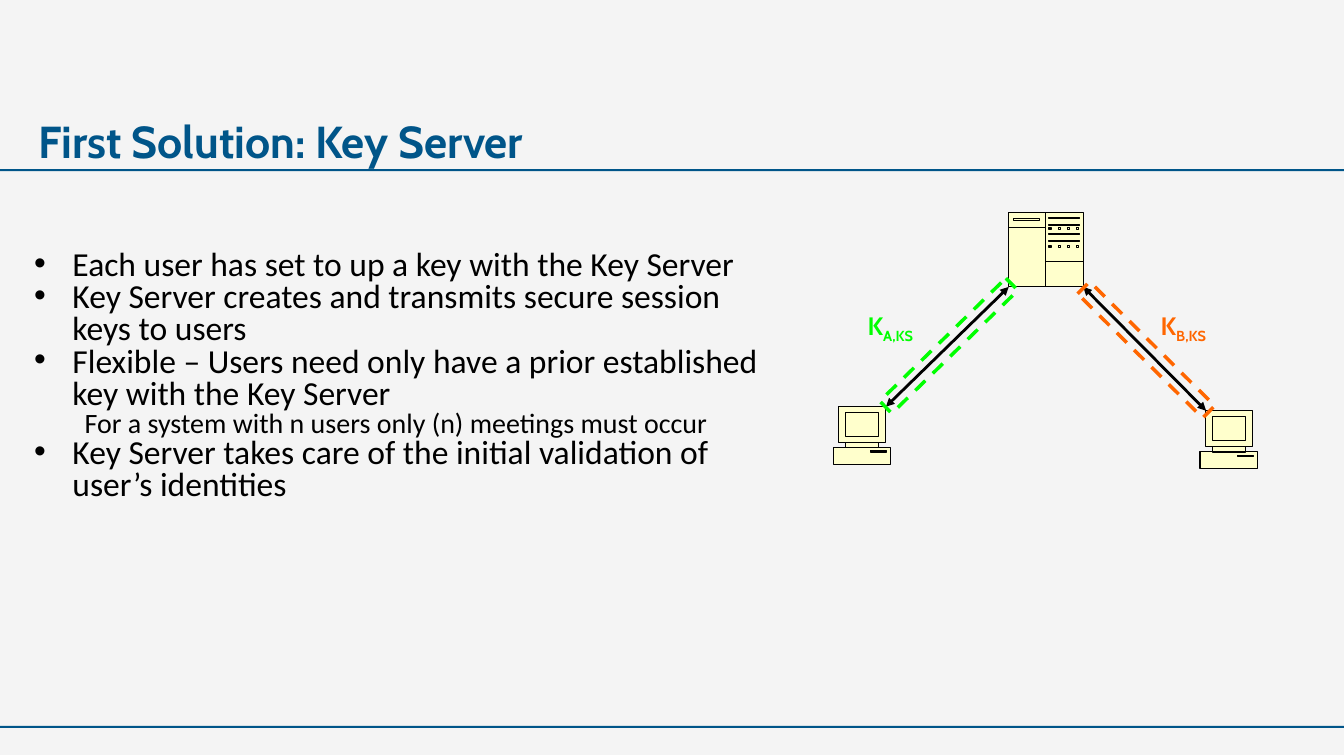
from lxml import etree
from pptx import Presentation
from pptx.dml.color import RGBColor
from pptx.enum import dml, shapes
from pptx.oxml import ns
from pptx.util import Inches, Pt

BACKGROUND = RGBColor(0xF4, 0xF4, 0xF4)
BLUE = RGBColor(0x00, 0x55, 0x89)
BLACK = RGBColor(0x00, 0x00, 0x00)
CREAM = RGBColor(0xFF, 0xFF, 0xCC)
GREEN = RGBColor(0x00, 0xFF, 0x00)
ORANGE = RGBColor(0xFF, 0x66, 0x00)

presentation = Presentation()
presentation.slide_width = Inches(13.35)
presentation.slide_height = Inches(7.5)
slide = presentation.slides.add_slide(presentation.slide_layouts[6])
slide.background.fill.solid()
slide.background.fill.fore_color.rgb = BACKGROUND


def add_text_frame(left, top, width, height, margins=True):
    box = slide.shapes.add_textbox(Inches(left), Inches(top), Inches(width), Inches(height))
    frame = box.text_frame
    frame.word_wrap = True
    if not margins:
        frame.margin_left = frame.margin_right = frame.margin_top = frame.margin_bottom = 0
    return frame


def add_outline(left, top, contours, filled):
    """Draw contours, given in inches from (left, top), as one black-lined shape.

    Contours of two points stay open; longer ones are closed.
    """
    builder = None
    for contour in contours:
        points = [(Inches(left + x), Inches(top + y)) for x, y in contour]
        if builder is None:
            builder = slide.shapes.build_freeform(*points[0])
        else:
            builder.move_to(*points[0])
        builder.add_line_segments(points[1:], close=len(points) > 2)
    shape = builder.convert_to_shape()
    shape.shadow.inherit = False
    if filled:
        shape.fill.solid()
        shape.fill.fore_color.rgb = CREAM
    else:
        shape.fill.background()
    shape.line.color.rgb = BLACK
    shape.line.width = Pt(0.75)


# Rules below the title and above the footer
for top in (1.68, 7.21):
    rule = slide.shapes.add_shape(
        shapes.MSO_SHAPE.RECTANGLE, 0, Inches(top), presentation.slide_width, Inches(0.02))
    rule.shadow.inherit = False
    rule.fill.solid()
    rule.fill.fore_color.rgb = BLUE
    rule.line.fill.background()

# Title
title = add_text_frame(0.38, 1.13, 7.71, 1.08, margins=False)
run = title.paragraphs[0].add_run()
run.text = "First Solution: Key Server"
run.font.name = "Cabin"
run.font.size = Pt(32)
run.font.bold = True
run.font.color.rgb = BLUE

# Body
body_items = [
    ("Each user has set to up a key with the Key Server", 0),
    ("Key Server creates and transmits secure session keys to users", 0),
    ("Flexible – Users need only have a prior established key with the Key Server", 0),
    ("For a system with n users only (n) meetings must occur", 1),
    ("Key Server takes care of the initial validation of user’s identities", 0),
]
body = add_text_frame(0.34, 2.49, 7.3, 3.46, margins=False)
for index, (content, level) in enumerate(body_items):
    paragraph = body.add_paragraph() if index else body.paragraphs[0]
    paragraph.level = level
    paragraph.line_spacing = 0.8
    properties = paragraph._p.get_or_add_pPr()
    properties.set("marL", str(Inches(0.5 if level else 0.38)))
    properties.set("indent", str(0 if level else Inches(-0.38)))
    if level == 0:
        font = etree.SubElement(properties, ns.qn("a:buFont"))
        font.set("typeface", "Arial")
        bullet = etree.SubElement(properties, ns.qn("a:buChar"))
        bullet.set("char", "•")
    run = paragraph.add_run()
    run.text = content
    run.font.name = "Calibri"
    run.font.size = Pt(20 if level else 24)
    run.font.color.rgb = BLACK

# Key server, with details as left, top, width, height
SERVER_SIZE = 0.74
server_boxes = [(0.05, 0.06, 0.26, 0.02)]
server_boxes += [(0.4, top, 0.3, 0.01) for top in (0.05, 0.12, 0.21, 0.28)]
server_boxes += [(0.4 + 0.09 * column, top, 0.02, 0.02)
                 for top in (0.15, 0.33) for column in range(4)]
server_lines = [
    [(0, 0.15), (0.37, 0.15)],
    [(0.37, 0.49), (SERVER_SIZE, 0.49)],
    [(0.37, 0), (0.37, SERVER_SIZE)],
]
computer_boxes = [(0.12, 0.36, 0.33, 0.05), (0.12, 0.06, 0.33, 0.24), (0.37, 0.44, 0.16, 0.01)]
server_outline = [(0, 0), (SERVER_SIZE, 0), (SERVER_SIZE, SERVER_SIZE), (0, SERVER_SIZE)]
computer_outline = [
    (0.45, 0.41), (0.45, 0.36), (0.52, 0.36), (0.52, 0), (0.05, 0), (0.05, 0.36),
    (0.12, 0.36), (0.12, 0.41), (0, 0.41), (0, 0.57), (0.57, 0.57), (0.57, 0.41),
]
machines = [
    (10.02, 2.11, server_outline, server_boxes, server_lines),
    (8.28, 4.04, computer_outline, computer_boxes, []),
    (11.92, 4.08, computer_outline, computer_boxes, []),
]
for left, top, outline, boxes, lines in machines:
    details = [[(x, y), (x + width, y), (x + width, y + height), (x, y + height)]
               for x, y, width, height in boxes]
    add_outline(left, top, [outline], filled=True)
    add_outline(left, top, details + lines, filled=False)

# Links from the server to each computer
for start_x, end_x, end_y in ((10.02, 8.8, 4.04), (10.76, 11.98, 4.08)):
    link = slide.shapes.add_connector(
        shapes.MSO_CONNECTOR.STRAIGHT,
        Inches(start_x), Inches(2.85), Inches(end_x), Inches(end_y))
    link.line.color.rgb = BLACK
    link.line.width = Pt(2)
    for end in ("a:headEnd", "a:tailEnd"):
        etree.SubElement(link.line._get_or_add_ln(), ns.qn(end)).set("type", "triangle")
    etree.SubElement(link._element.spPr, ns.qn("a:effectLst"))

# Key labels and the dashed tunnels around the links
keys = [
    ("A,KS", GREEN, 8.52, 9.34, 2.56, 45.7),
    ("B,KS", ORANGE, 11.43, 11.3, 2.6, 314.8),
]
for subscript, color, label_left, tunnel_left, tunnel_top, rotation in keys:
    label = add_text_frame(label_left, 3.03, 0.83, 0.4)
    for content in ("K", subscript):
        run = label.paragraphs[0].add_run()
        run.text = content
        run.font.name = "Cabin"
        run.font.size = Pt(18)
        run.font.bold = True
        run.font.color.rgb = color
        if content == subscript:
            run.font._element.set("baseline", "-25000")

    tunnel = slide.shapes.add_shape(
        shapes.MSO_SHAPE.FLOWCHART_PROCESS,
        Inches(tunnel_left), Inches(tunnel_top), Inches(0.17), Inches(1.75))
    tunnel.rotation = rotation
    tunnel.shadow.inherit = False
    tunnel.fill.background()
    tunnel.line.color.rgb = color
    tunnel.line.width = Pt(2.5)
    tunnel.line.dash_style = dml.MSO_LINE.DASH

presentation.save("out.pptx")
